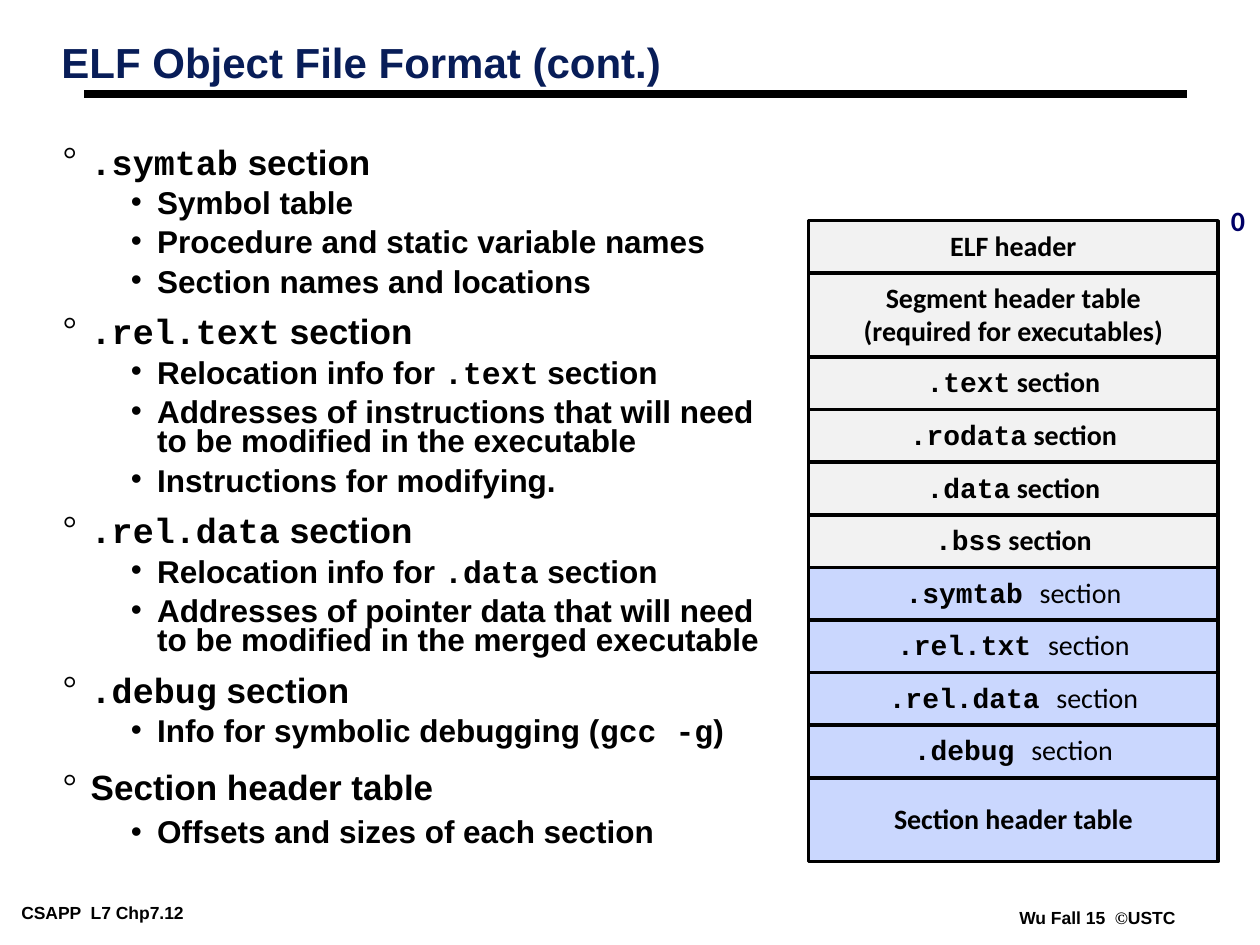
from dataclasses import dataclass

from lxml.etree import SubElement
from pptx import Presentation
from pptx.dml.color import RGBColor
from pptx.enum.shapes import MSO_CONNECTOR, MSO_SHAPE
from pptx.enum.text import MSO_ANCHOR, MSO_AUTO_SIZE, PP_ALIGN
from pptx.oxml.ns import qn
from pptx.util import Cm, Pt


@dataclass(frozen=True)
class Theme:
    ink: str = "000000"
    title: str = "081D58"
    offset: str = "000066"
    loaded: str = "F2F2F2"
    unloaded: str = "CAD7FE"
    sans: str = "Arial"
    diagram: str = "Calibri"
    code: str = "Courier New"
    serif: str = "Times New Roman"
    title_size: int = 24
    topic_size: int = 20
    detail_size: int = 18
    diagram_size: int = 16
    footer_size: int = 10


THEME = Theme()

# Text between backticks is set in the code font.
TOPICS = [
    ("`.symtab` section", ["Symbol table",
                           "Procedure and static variable names",
                           "Section names and locations"]),
    ("`.rel.text` section", [
        "Relocation info for `.text` section",
        "Addresses of instructions that will need to be modified in the executable",
        "Instructions for modifying."]),
    ("`.rel.data` section", [
        "Relocation info for `.data` section",
        "Addresses of pointer data that will need to be modified in the merged executable"]),
    ("`.debug` section", ["Info for symbolic debugging (`gcc -g`)"]),
    ("Section header table", ["Offsets and sizes of each section"]),
]

SINGLE_ROW, DOUBLE_ROW = 1.06, 1.69
LOADED_PARTS = [
    (["ELF header"], SINGLE_ROW),
    (["Segment header table", "(required for executables)"], DOUBLE_ROW),
    *[([f"`{name}` section"], SINGLE_ROW)
      for name in (".text", ".rodata", ".data", ".bss")],
]
UNLOADED_PARTS = [
    *[([f"`{name} `section"], SINGLE_ROW)
      for name in (".symtab", ".rel.txt", ".rel.data", ".debug")],
    (["Section header table"], DOUBLE_ROW),
]


def rgb(value):
    return RGBColor.from_string(value)


def write(paragraph, text, *, size, font=THEME.sans, color=THEME.ink,
          plain_bold=True, alt_font=THEME.code, spacing=None, before=None,
          align=None):
    """Write text, setting the parts between backticks in alt_font."""
    if spacing is not None:
        paragraph.line_spacing = spacing
    if before is not None:
        paragraph.space_before = Pt(before)
    if align is not None:
        paragraph.alignment = align
    for index, part in enumerate(text.split("`")):
        if not part:
            continue
        marked = index % 2 == 1
        run = paragraph.add_run()
        run.text = part
        run.font.name = alt_font if marked else font
        run.font.size = Pt(size)
        run.font.bold = marked or plain_bold
        run.font.color.rgb = rgb(color)


def set_bullet(paragraph, char, font, margin, hanging):
    properties = paragraph._p.get_or_add_pPr()
    properties.set("marL", str(Cm(margin)))
    properties.set("indent", str(-Cm(hanging)))
    color = SubElement(properties, qn("a:buClr"))
    SubElement(color, qn("a:srgbClr"), val=THEME.ink)
    SubElement(properties, qn("a:buFont"), typeface=font)
    SubElement(properties, qn("a:buChar"), char=char)


def set_insets(frame, side, end):
    frame.margin_left = frame.margin_right = Cm(side)
    frame.margin_top = frame.margin_bottom = Cm(end)


def add_text_frame(slide, left, top, width, height, *, wrap=False,
                   grow=True, insets=(0.18, 0.08)):
    box = slide.shapes.add_textbox(Cm(left), Cm(top), Cm(width), Cm(height))
    frame = box.text_frame
    frame.word_wrap = wrap
    frame.auto_size = MSO_AUTO_SIZE.SHAPE_TO_FIT_TEXT if grow else MSO_AUTO_SIZE.NONE
    set_insets(frame, *insets)
    return frame


def add_title(slide):
    rule = slide.shapes.add_connector(
        MSO_CONNECTOR.STRAIGHT, Cm(1.7), Cm(1.9), Cm(23.92), Cm(1.9))
    rule.line.color.rgb = rgb(THEME.ink)
    rule.line.width = Pt(4.5)
    SubElement(rule._element.spPr, qn("a:effectLst"))
    frame = add_text_frame(slide, 1.06, 0.79, 24.2, 2.18, wrap=True, grow=False)
    write(frame.paragraphs[0], "ELF Object File Format (cont.)",
          size=THEME.title_size, color=THEME.title, spacing=0.87)


def add_topics(slide):
    frame = add_text_frame(slide, 1.09, 2.97, 14.66, 15.19, wrap=True, grow=False)
    for number, (topic, details) in enumerate(TOPICS):
        last = number == len(TOPICS) - 1
        heading = frame.add_paragraph() if number else frame.paragraphs[0]
        set_bullet(heading, "°", THEME.serif, 0.56, 0.56)
        write(heading, topic, size=THEME.topic_size,
              spacing=0.88 if last else 0.71, before=12.5 if number else 0)
        for detail in details:
            point = frame.add_paragraph()
            point.level = 1
            set_bullet(point, "•", THEME.sans, 1.9, 0.53)
            write(point, detail, size=THEME.detail_size,
                  spacing=0.88 if last else 0.78, before=5.6)


def add_part(slide, lines, top, height, fill, plain_bold):
    part = slide.shapes.add_shape(
        MSO_SHAPE.RECTANGLE, Cm(16.3), Cm(top), Cm(8.26), Cm(height))
    part.shadow.inherit = False
    part.fill.solid()
    part.fill.fore_color.rgb = rgb(fill)
    part.line.color.rgb = rgb(THEME.ink)
    part.line.width = Pt(2)
    frame = part.text_frame
    frame.word_wrap = False
    frame.vertical_anchor = MSO_ANCHOR.MIDDLE
    set_insets(frame, 0.25, 0.13)
    for number, line in enumerate(lines):
        paragraph = frame.add_paragraph() if number else frame.paragraphs[0]
        has_code = "`" in line
        write(paragraph, line, size=THEME.diagram_size, font=THEME.diagram,
              plain_bold=plain_bold or not has_code,
              spacing=0.94 if has_code else 0.98, align=PP_ALIGN.CENTER)


def add_file_layout(slide):
    top = 4.45
    for parts, fill, plain_bold in ((LOADED_PARTS, THEME.loaded, True),
                                    (UNLOADED_PARTS, THEME.unloaded, False)):
        for lines, height in parts:
            add_part(slide, lines, top, height, fill, plain_bold)
            top += height
    offset = add_text_frame(slide, 24.56, 4.01, 0.79, 0.91, insets=(0.25, 0.13))
    write(offset.paragraphs[0], "0", size=THEME.diagram_size,
          font=THEME.diagram, color=THEME.offset, spacing=0.98,
          align=PP_ALIGN.CENTER)


def add_footers(slide):
    for text, left, top, width in (
            ("CSAPP  L7 Chp7.12", 0.25, 18.11, 4.95),
            ("Wu Fall 15  `©`USTC", 20.37, 18.21, 3.51)):
        frame = add_text_frame(slide, left, top, width, 0.56)
        write(frame.paragraphs[0], text, size=THEME.footer_size,
              alt_font=THEME.serif)


def main():
    presentation = Presentation()
    presentation.slide_width, presentation.slide_height = Cm(25.4), Cm(19.05)
    slide = presentation.slides.add_slide(presentation.slide_layouts[6])
    add_footers(slide)
    add_title(slide)
    add_topics(slide)
    add_file_layout(slide)
    presentation.save("out.pptx")


if __name__ == "__main__":
    main()
